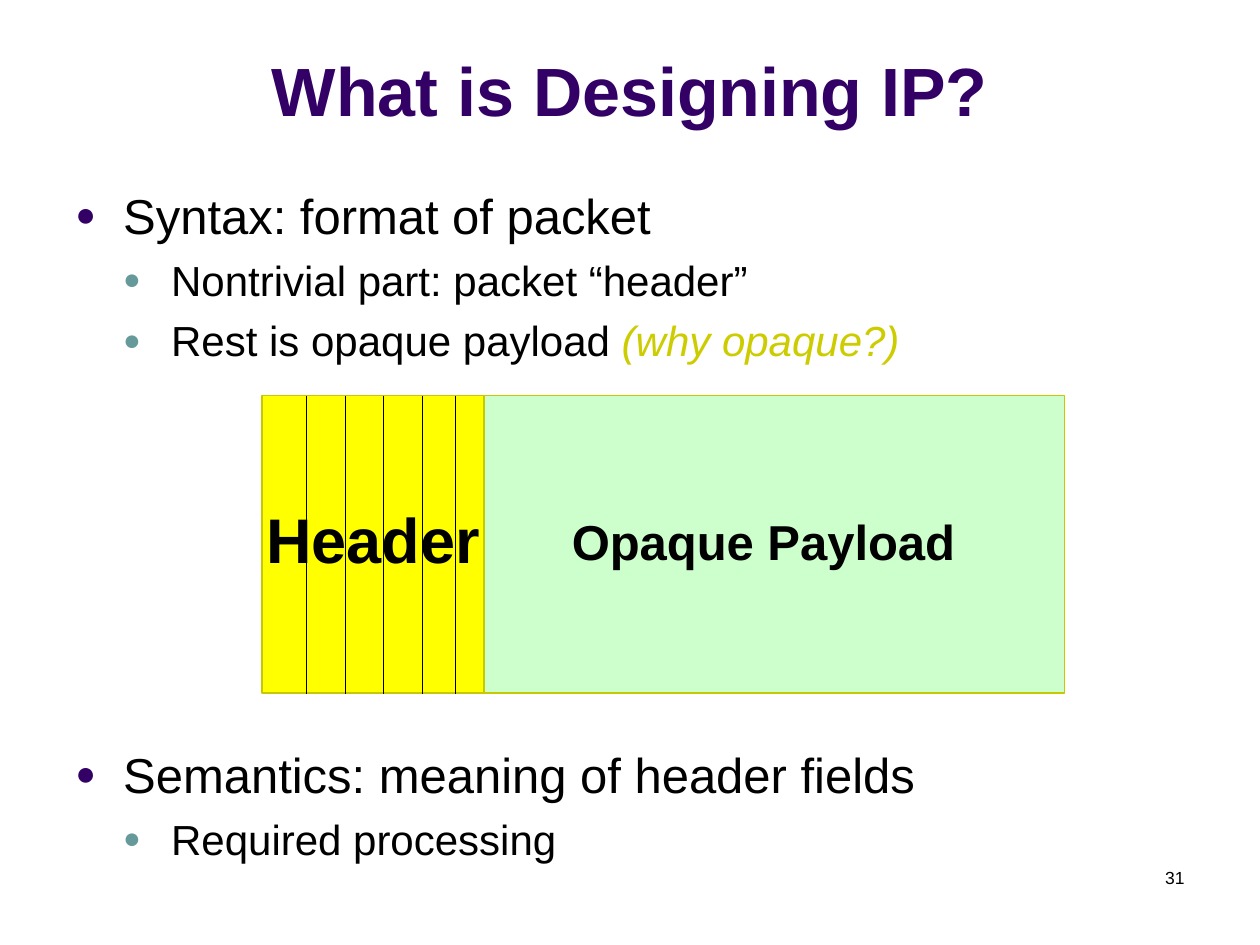
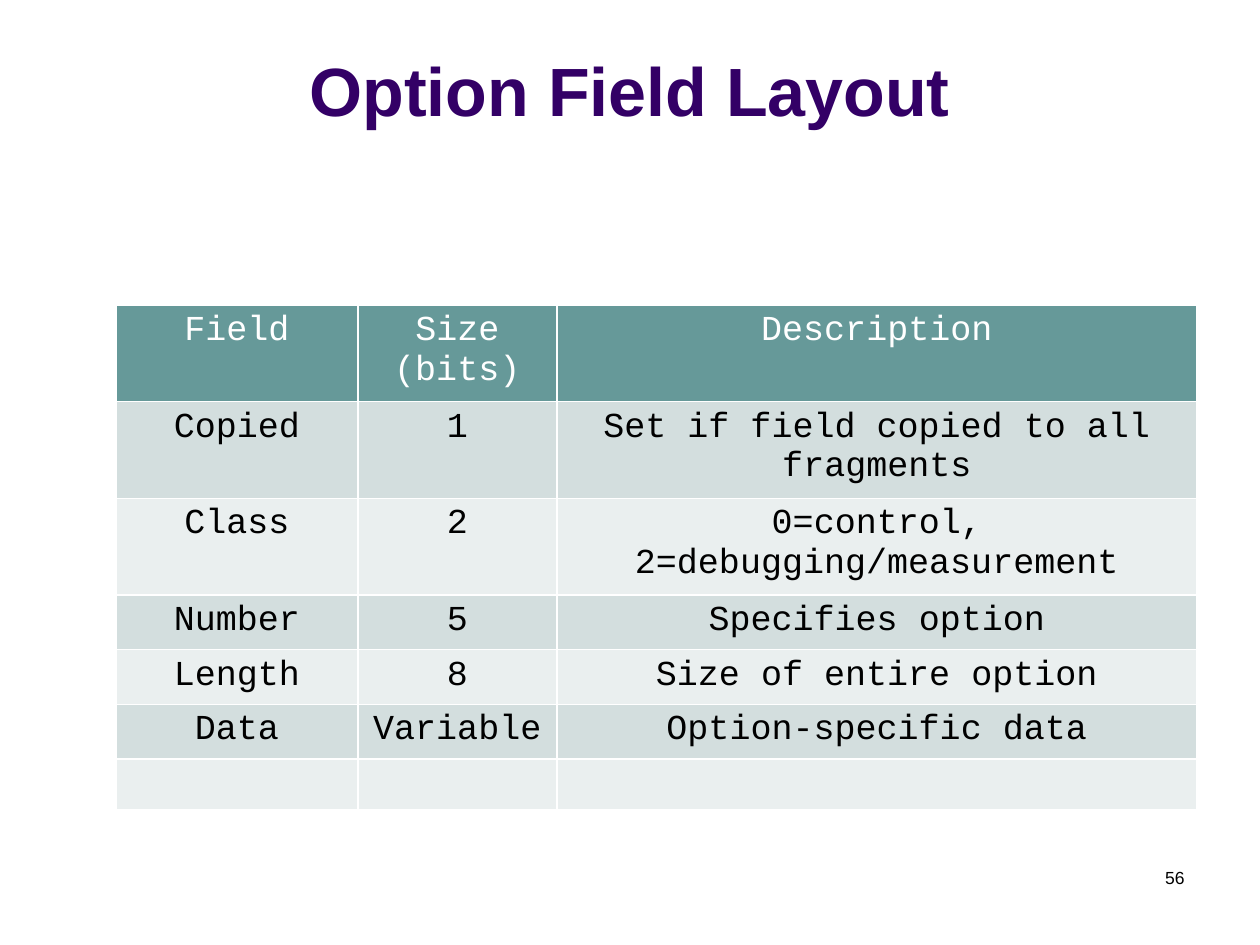
from lxml import etree
from pptx import Presentation
from pptx.dml.color import RGBColor
from pptx.enum.dml import MSO_LINE
from pptx.enum.shapes import MSO_CONNECTOR, MSO_SHAPE
from pptx.enum.text import MSO_ANCHOR, PP_ALIGN
from pptx.oxml.ns import qn
from pptx.util import Inches, Pt

HUES = {
    "title": "330066", "teal": "669999", "black": "000000", "white": "FFFFFF",
    "olive": "CCCC00", "edge": "C8C800", "yellow": "FFFF00", "mint": "CCFFCC",
    "dark": "D3DEDE", "light": "EAEFEF",
}
RGB = {name: RGBColor.from_string(code) for name, code in HUES.items()}


def write(slide, box, text, size, hue="black", bold=False,
          align=PP_ALIGN.CENTER, anchor=MSO_ANCHOR.TOP):
    """Add a text box holding one paragraph."""
    frame = slide.shapes.add_textbox(*map(Inches, box)).text_frame
    frame.word_wrap = True
    frame.vertical_anchor = anchor
    para = frame.paragraphs[0]
    para.text = text
    para.alignment = align
    para.font.name = "Arial"
    para.font.size = Pt(size)
    para.font.bold = bold
    para.font.color.rgb = RGB[hue]


deck = Presentation()
deck.slide_width = Inches(10)
deck.slide_height = Inches(7.5)

# Title and page number on each slide
slides = []
for title, page in [("What is Designing IP?", "31"), ("Option Field Layout", "56")]:
    slide = deck.slides.add_slide(deck.slide_layouts[6])
    write(slide, (0, 0.13, 10, 0.95), title, 39, "title", True,
          anchor=MSO_ANCHOR.BOTTOM)
    write(slide, (7.17, 6.83, 2.33, 0.5), page, 10, align=PP_ALIGN.RIGHT)
    slides.append(slide)
packet, options = slides

# Bullets above and below the packet: size, space before, bullet colour by level
LEVELS = [(28, 6.4, "title"), (24, 5.8, "teal")]
STEP = Inches(0.38)
blocks = [
    (1.42, 1.6, [
        (0, "Syntax: format of packet", ""),
        (1, "Nontrivial part: packet “header”", ""),
        (1, "Rest is opaque payload ", "(why opaque?)"),
    ]),
    (5.86, 1.05, [
        (0, "Semantics: meaning of header fields", ""),
        (1, "Required processing", ""),
    ]),
]
for top, high, items in blocks:
    box = packet.shapes.add_textbox(Inches(0.5), Inches(top), Inches(9.33), Inches(high))
    frame = box.text_frame
    frame.word_wrap = True
    for i, (level, text, aside) in enumerate(items):
        size, space, hue = LEVELS[level]
        para = frame.add_paragraph() if i else frame.paragraphs[0]
        para.level = level
        para.space_before = Pt(space)
        para.font.name = "Arial"
        para.font.size = Pt(size)
        para.font.color.rgb = RGB["black"]
        para.add_run().text = text
        if aside:
            run = para.add_run()
            run.text = aside
            run.font.italic = True
            run.font.color.rgb = RGB["olive"]
        props = para._p.get_or_add_pPr()
        props.set("marL", str(STEP * (level + 1)))
        props.set("indent", str(-STEP))
        marks = [
            etree.Element(qn("a:buClr")),
            etree.Element(qn("a:buSzPct"), val="70000"),
            etree.Element(qn("a:buFont"), typeface="Arial"),
            etree.Element(qn("a:buChar"), char="●"),
        ]
        etree.SubElement(marks[0], qn("a:srgbClr"), val=HUES[hue])
        rest = props.find(qn("a:defRPr"))
        for mark in marks:
            rest.addprevious(mark)

# Packet: header and payload, with dotted field borders
TOP, HIGH = 3.14, 2.36
for left, wide, hue in [(2.08, 1.77, "yellow"), (3.84, 4.61, "mint")]:
    part = packet.shapes.add_shape(
        MSO_SHAPE.RECTANGLE, Inches(left), Inches(TOP), Inches(wide), Inches(HIGH))
    part.shadow.inherit = False
    part.fill.solid()
    part.fill.fore_color.rgb = RGB[hue]
    part.line.color.rgb = RGB["edge"]
    part.line.width = Pt(0.75)
write(packet, (2, 3.92, 1.92, 0.71), "Header", 36, bold=True)
write(packet, (4.03, 4.01, 4.06, 0.57), "Opaque Payload", 28, bold=True)
for x in (2.43, 2.74, 3.04, 3.35, 3.61):
    rule = packet.shapes.add_connector(
        MSO_CONNECTOR.STRAIGHT, Inches(x), Inches(TOP), Inches(x), Inches(TOP + HIGH))
    rule.line.color.rgb = RGB["black"]
    rule.line.width = Pt(0.25)
    rule.line.dash_style = MSO_LINE.ROUND_DOT
    etree.SubElement(rule._element.spPr, qn("a:effectLst"))

# Option table
rows = [
    ("Field", "Size (bits)", "Description"),
    ("Copied", "1", "Set if field copied to all fragments"),
    ("Class", "2", "0=control, 2=debugging/measurement"),
    ("Number", "5", "Specifies option"),
    ("Length", "8", "Size of entire option"),
    ("Data", "Variable", "Option-specific data"),
    ("", "", ""),
]
table = options.shapes.add_table(
    len(rows), 3, Inches(0.92), Inches(2.42), Inches(8.58), Inches(2.8)).table
for col, wide in zip(table.columns, (1.92, 1.58, 5.08)):
    col.width = Inches(wide)
for r, row in enumerate(rows):
    table.rows[r].height = Inches(0.4)
    for c, text in enumerate(row):
        cell = table.cell(r, c)
        props = cell._tc.get_or_add_tcPr()
        for side in ("a:lnL", "a:lnR", "a:lnT", "a:lnB"):
            edge = etree.SubElement(props, qn(side), w=str(Pt(1)))
            fill = etree.SubElement(edge, qn("a:solidFill"))
            etree.SubElement(fill, qn("a:srgbClr"), val=HUES["white"])
        cell.fill.solid()
        cell.fill.fore_color.rgb = RGB["teal" if r == 0 else "dark" if r % 2 else "light"]
        if text:
            para = cell.text_frame.paragraphs[0]
            para.text = text
            para.alignment = PP_ALIGN.CENTER
            para.font.name = "Courier New"
            para.font.size = Pt(20)
            para.font.bold = False
            para.font.color.rgb = RGB["black" if r else "white"]

deck.save("out.pptx")
